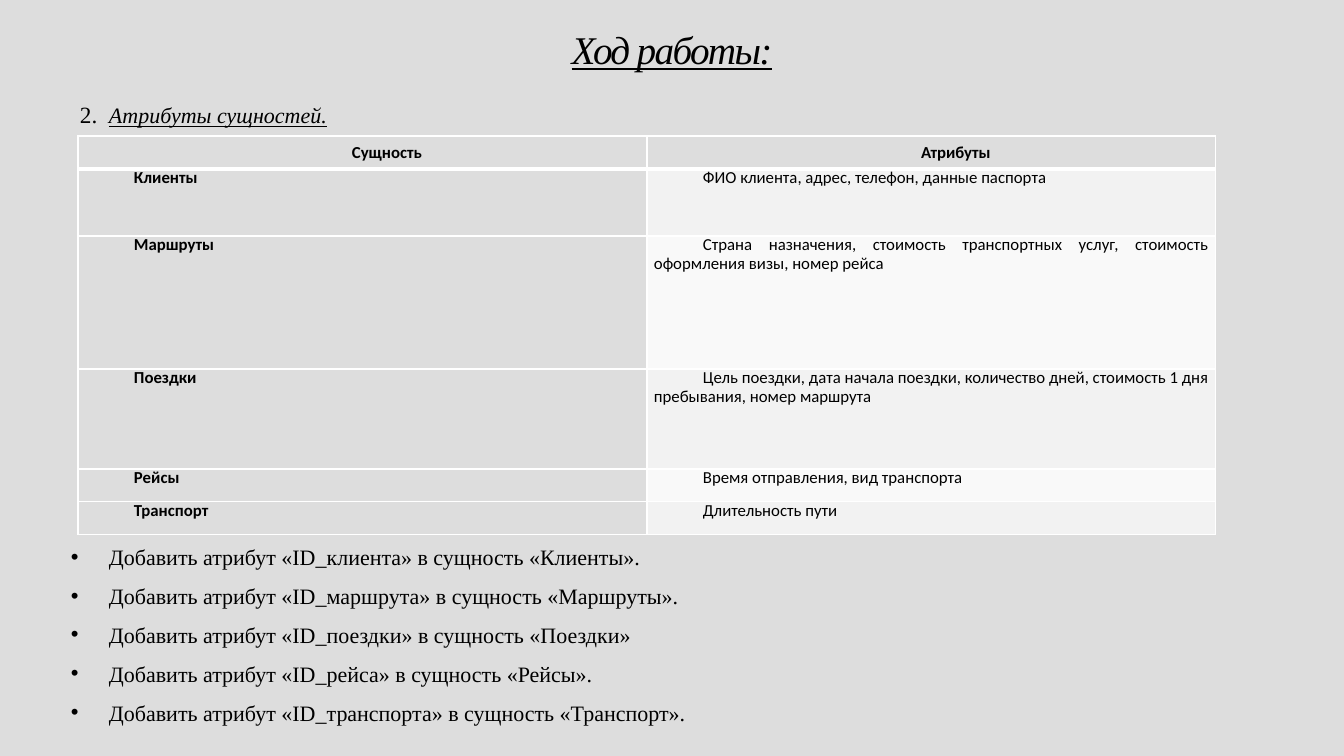
"""Builds the slide that lists entities, their attributes and the ID attributes to add."""
from lxml.etree import SubElement
from pptx import Presentation
from pptx.dml.color import RGBColor
from pptx.enum.text import MSO_ANCHOR, MSO_AUTO_SIZE, PP_ALIGN
from pptx.oxml.ns import qn
from pptx.util import Emu, Pt

SERIF, SANS = "Times New Roman", "Calibri"
BLACK, WHITE, GREY = "000000", "FFFFFF", "DDDDDD"


def px(length):
    return Emu(round(length * 914400 / 100.8))


def color(hex_code):
    return RGBColor.from_string(hex_code)


prs = Presentation()
prs.slide_width, prs.slide_height = px(1344), px(756)
slide = prs.slides.add_slide(prs.slide_layouts[5])
slide.background.fill.solid()
slide.background.fill.fore_color.rgb = color(GREY)

title = slide.shapes.title
heading = slide.shapes.add_textbox(px(80), px(106), px(1180), px(26))
tasks = slide.shapes.add_textbox(px(71), px(550), px(1190), px(190))
for block, box, anchor in (
    (title, (78, 20, 1188, 57), MSO_ANCHOR.BOTTOM),
    (heading, (80, 106, 1180, 26), MSO_ANCHOR.TOP),
    (tasks, (71, 550, 1190, 190), MSO_ANCHOR.TOP),
):
    block.left, block.top, block.width, block.height = map(px, box)
    frame_format = {"word_wrap": True, "auto_size": MSO_AUTO_SIZE.NONE, "vertical_anchor": anchor}
    if block is not title:
        frame_format |= dict.fromkeys(("margin_left", "margin_top", "margin_right", "margin_bottom"), 0)
    for name, value in frame_format.items():
        setattr(block.text_frame, name, value)

title_line = title.text_frame.paragraphs[0]
title_line.alignment, title_line.line_spacing = PP_ALIGN.CENTER, 0.8
title_run = title_line.add_run()
title_run.text = "Ход работы:"

heading_line = heading.text_frame.paragraphs[0]
heading_line.line_spacing = 0.8
heading_indent = heading_line._p.get_or_add_pPr()
heading_indent.set("marL", str(px(29)))
heading_indent.set("indent", str(px(-29)))
number_run, heading_run = heading_line.add_run(), heading_line.add_run()
number_run.text, heading_run.text = "2.\t", "Атрибуты сущностей."

styled_runs = [(title_run, 28, True), (number_run, 16.6, False), (heading_run, 15.7, True)]

id_attributes = [
    "Добавить атрибут «ID_клиента» в сущность «Клиенты».",
    "Добавить атрибут «ID_маршрута» в сущность «Маршруты».",
    "Добавить атрибут «ID_поездки» в сущность «Поездки»",
    "Добавить атрибут «ID_рейса» в сущность «Рейсы».",
    "Добавить атрибут «ID_транспорта» в сущность «Транспорт».",
]
for index, task in enumerate(id_attributes):
    line = tasks.text_frame.add_paragraph() if index else tasks.text_frame.paragraphs[0]
    line.alignment, line.line_spacing, line.space_after = PP_ALIGN.JUSTIFY, 0.75, Pt(13.6)
    task_indent = line._p.get_or_add_pPr()
    task_indent.set("marL", str(px(38)))
    task_indent.set("indent", str(px(-38)))
    SubElement(task_indent, qn("a:buFont"), typeface="Arial")
    SubElement(task_indent, qn("a:buChar"), char="•")
    task_run = line.add_run()
    task_run.text = task
    styled_runs.append((task_run, 15.7, False))

for run, size, emphasis in styled_runs:
    for name, value in {"name": SERIF, "size": Pt(size), "italic": emphasis, "underline": emphasis}.items():
        setattr(run.font, name, value)
    run.font.color.rgb = color(BLACK)
title_run._r.get_or_add_rPr().set("spc", "-120")

entities = [
    (33, "Сущность", "Атрибуты"),
    (67, "Клиенты", "ФИО клиента, адрес, телефон, данные паспорта"),
    (133, "Маршруты", "Страна назначения, стоимость транспортных услуг, стоимость оформления визы, номер рейса"),
    (100, "Поездки", "Цель поездки, дата начала поездки, количество дней, стоимость 1 дня пребывания, номер маршрута"),
    (33, "Рейсы", "Время отправления, вид транспорта"),
    (33, "Транспорт", "Длительность пути"),
]
table = slide.shapes.add_table(len(entities), 2, px(78), px(136), px(1138), px(399)).table
table.horz_banding = False
for column in table.columns:
    column.width = px(569)

for row, (height, *texts) in enumerate(entities):
    table.rows[row].height = px(height)
    for col, text in enumerate(texts):
        cell = table.cell(row, col)
        header = row == 0
        cell_format = {
            "margin_left": px(7), "margin_right": px(7), "margin_top": 0, "margin_bottom": 0,
            "vertical_anchor": MSO_ANCHOR.MIDDLE if header else MSO_ANCHOR.TOP,
        }
        for name, value in cell_format.items():
            setattr(cell, name, value)
        for side in "LRTB":
            thick = (row, side) in ((0, "B"), (1, "T"))
            border = SubElement(cell._tc.get_or_add_tcPr(), qn(f"a:ln{side}"), w=str(Pt(3 if thick else 1)))
            SubElement(SubElement(border, qn("a:solidFill")), qn("a:srgbClr"), val=WHITE)
        cell.fill.solid()
        cell.fill.fore_color.rgb = color(GREY if header or col == 0 else ("F9F9F9", "F2F2F2")[row % 2])
        line = cell.text_frame.paragraphs[0]
        line.alignment, line.line_spacing = PP_ALIGN.CENTER if header else PP_ALIGN.JUSTIFY, 0.9
        line._p.get_or_add_pPr().set("indent", str(px(49)))
        run = line.add_run()
        run.text = text
        for name, value in {"name": SANS, "size": Pt(12), "bold": header or col == 0}.items():
            setattr(run.font, name, value)
        run.font.color.rgb = color(BLACK)

prs.save("out.pptx")
